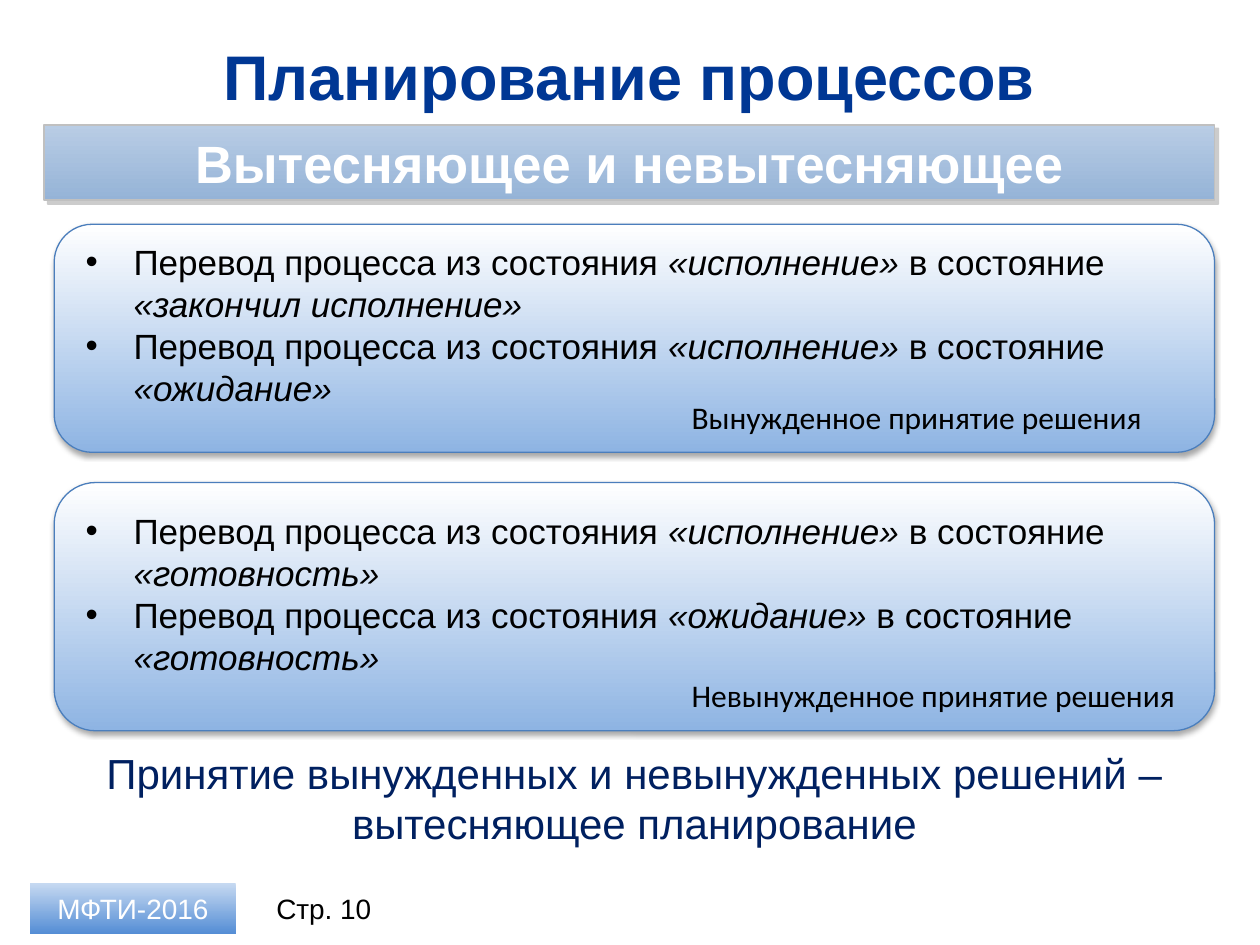
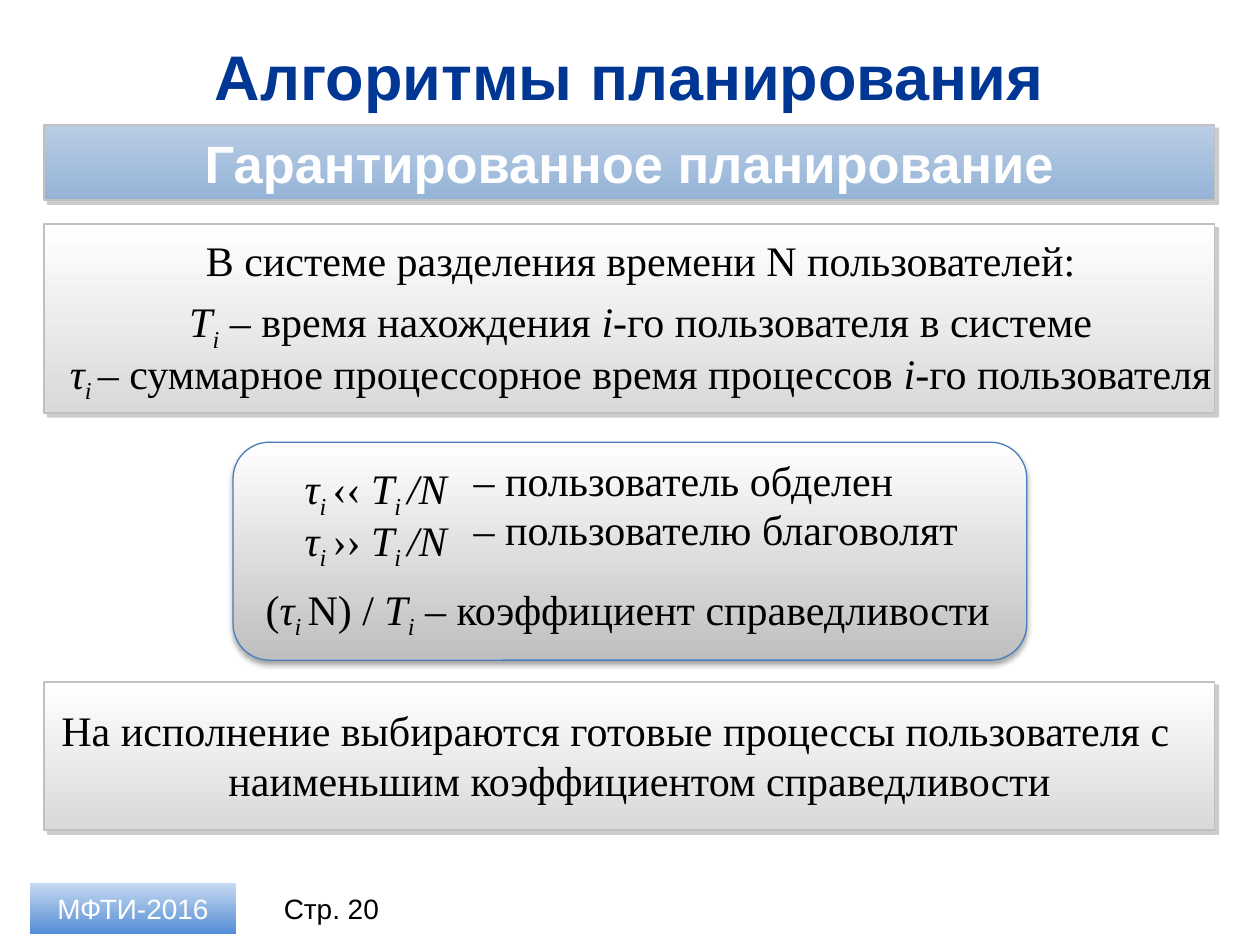
from dataclasses import dataclass

from lxml import etree
from pptx import Presentation
from pptx import util as u
from pptx.dml.color import RGBColor
from pptx.enum import shapes, text
from pptx.oxml import ns

CELL = u.Inches(0.1)
COLUMNS, ROWS = 100, 75

BLACK = RGBColor(0x00, 0x00, 0x00)
WHITE = RGBColor(0xFF, 0xFF, 0xFF)
TITLE_BLUE = RGBColor(0x00, 0x37, 0x94)
NAVY = RGBColor(0x00, 0x20, 0x60)
EDGE_BLUE = RGBColor(0x4B, 0x7E, 0xBC)
EDGE_GRAY = RGBColor(0xC0, 0xC0, 0xC0)
BAND_TOP = RGBColor(0xB9, 0xCD, 0xE5)
BAND_BOTTOM = RGBColor(0x95, 0xB3, 0xD7)
BADGE_TOP = RGBColor(0xC6, 0xD9, 0xF1)
BADGE_BOTTOM = RGBColor(0x55, 0x8E, 0xD5)
PANEL_BLUE = RGBColor(0x8E, 0xB4, 0xE3)
LIGHT_GRAY = RGBColor(0xD9, 0xD9, 0xD9)
MID_GRAY = RGBColor(0xBF, 0xBF, 0xBF)

SOFT_SHADOW = ("000000", 35, 3.1, 1.8, 90)
HARD_SHADOW = ("808080", 40, 0, 3, 45)

LEFT, CENTER = text.PP_ALIGN.LEFT, text.PP_ALIGN.CENTER
TOP, MIDDLE = text.MSO_ANCHOR.TOP, text.MSO_ANCHOR.MIDDLE


@dataclass(frozen=True)
class Box:
    """A rectangle measured in grid columns and rows."""
    left: float
    top: float
    width: float
    height: float

    def inner(self, left, top, width, height):
        """Return a box placed relative to this one."""
        return Box(self.left + left, self.top + top, width, height)

    def lengths(self):
        """Return the rectangle in slide units."""
        return [round(n * CELL) for n in (self.left, self.top, self.width, self.height)]


@dataclass(frozen=True)
class Style:
    """The look of a block of text."""
    size: float
    font: str = "Arial"
    color: RGBColor = BLACK
    bold: bool = False
    align: int = LEFT
    anchor: int = TOP
    spacing: float = 1.0
    hanging: float = 0


TITLE = Style(36, color=TITLE_BLUE, bold=True, align=CENTER, anchor=MIDDLE)
SUBTITLE = Style(30, color=WHITE, bold=True, align=CENTER, anchor=MIDDLE)
BADGE = Style(16, color=WHITE, align=CENTER, anchor=MIDDLE)
PAGE_NUMBER = Style(16, align=CENTER, anchor=MIDDLE)
BULLETS = Style(20, hanging=3.8)
CAPTION = Style(18, "Calibri")
CONCLUSION = Style(24, color=NAVY, align=CENTER)
SERIF = Style(24, "Times New Roman")
FORMULAS = Style(24, "Times New Roman", spacing=0.9)
DEFINITIONS = Style(24, "Times New Roman", align=CENTER, spacing=0.9)
RULE = Style(24, "Times New Roman", align=CENTER, hanging=3.8)

TITLE_BOX = Box(3.5, 2.6, 92.9, 6.8)
BAND_BOX = Box(3.5, 9.9, 92.9, 6)
FOOTER_BOX = Box(2.4, 70.1, 30, 4)


def add_spans(paragraph, marked, style):
    """Add runs: *...* is italic and _..._ is subscript."""
    for index, piece in enumerate(marked.split("*")):
        for level, words in enumerate(piece.split("_")):
            if not words:
                continue
            span = paragraph.add_run()
            span.text = words
            span.font.name = style.font
            span.font.size = u.Pt(style.size)
            span.font.color.rgb = style.color
            span.font.bold = style.bold
            span.font.italic = index % 2 == 1
            if level % 2:
                span._r.get_or_add_rPr().set("baseline", "-25000")


def write(shape, lines, style):
    """Fill a shape with one paragraph for each marked line."""
    frame = shape.text_frame
    frame.word_wrap = True
    frame.auto_size = text.MSO_AUTO_SIZE.NONE
    frame.vertical_anchor = style.anchor
    for index, line in enumerate(lines):
        paragraph = frame.add_paragraph() if index else frame.paragraphs[0]
        paragraph.alignment = style.align
        paragraph.line_spacing = style.spacing
        paragraph.space_before = u.Pt(0)
        if style.hanging:
            indent = round(style.hanging * CELL)
            properties = paragraph._p.get_or_add_pPr()
            properties.set("marL", str(indent))
            properties.set("indent", str(-indent))
        add_spans(paragraph, line, style)
    return shape


def add_text(page, box, lines, style):
    """Add a text box."""
    return write(page.shapes.add_textbox(*box.lengths()), lines, style)


def fill_placeholder(placeholder, box, lines, style):
    """Move a template placeholder and write into it."""
    placeholder.left, placeholder.top, placeholder.width, placeholder.height = box.lengths()
    write(placeholder, lines, style)


def add_shadow(shape, color, alpha, blur, distance, angle):
    """Give a shape an outer shadow."""
    effects = shape._element.spPr.find(ns.qn("a:effectLst"))
    shadow = etree.SubElement(
        effects, ns.qn("a:outerShdw"), blurRad=str(u.Pt(blur)),
        dist=str(u.Pt(distance)), dir=str(angle * 60000), rotWithShape="0")
    tint = etree.SubElement(shadow, ns.qn("a:srgbClr"), val=color)
    etree.SubElement(tint, ns.qn("a:alpha"), val=str(alpha * 1000))


def add_plate(page, box, colors, edge=None, width=1, shadow=None, rounded=False):
    """Add a plate shaded from its top colour to its bottom colour."""
    kind = shapes.MSO_SHAPE.ROUNDED_RECTANGLE if rounded else shapes.MSO_SHAPE.RECTANGLE
    plate = page.shapes.add_shape(kind, *box.lengths())
    plate.fill.gradient()
    plate.fill.gradient_angle = 270
    for stop, color in zip(plate.fill.gradient_stops, colors):
        stop.color.rgb = color
    if edge is None:
        plate.line.fill.background()
    else:
        plate.line.color.rgb = edge
        plate.line.width = u.Pt(width)
    plate.shadow.inherit = False
    if shadow:
        add_shadow(plate, *shadow)
    return plate


def add_gray_plate(page, box):
    """Add a square gray plate with a hard shadow."""
    add_plate(page, box, (WHITE, LIGHT_GRAY), EDGE_GRAY, 1, HARD_SHADOW)


def add_round_plate(page, box, bottom):
    """Add a rounded plate with a soft shadow."""
    add_plate(page, box, (WHITE, bottom), EDGE_BLUE, 0.75, SOFT_SHADOW, True)


def add_footer(page, box, number, number_left):
    """Add the course badge and the page number."""
    badge = add_plate(page, box.inner(0, 0, 16.3, box.height), (BADGE_TOP, BADGE_BOTTOM))
    write(badge, ["МФТИ-2016"], BADGE)
    add_text(page, box.inner(number_left, 0, 10.8, box.height), [f"Стр. {number}"], PAGE_NUMBER)


def start_page(deck, layout, title, subtitle, number, number_left):
    """Add a slide with its title, band and footer."""
    page = deck.slides.add_slide(deck.slide_layouts.get_by_name(layout))
    fill_placeholder(page.shapes.title, TITLE_BOX, [title], TITLE)
    band = add_plate(page, BAND_BOX, (BAND_TOP, BAND_BOTTOM), EDGE_GRAY, 1, HARD_SHADOW)
    write(band, [subtitle], SUBTITLE)
    add_footer(page, FOOTER_BOX, number, number_left)
    return page


def add_decision_panel(page, box, body, moves, caption):
    """Add a panel with state transitions and the kind of decision."""
    add_round_plate(page, box, PANEL_BLUE)
    page.shapes._spTree.append(body._element)
    lines = [f"Перевод процесса из состояния *«{source}» *в состояние *«{target}»*"
             for source, target in moves]
    fill_placeholder(body, box.inner(1.5, (box.height - 16.5) / 2, 86, 14.5), lines, BULLETS)
    add_text(page, box.inner(49.6, box.height - 4.8, 41, 4), [caption], CAPTION)


def add_definitions(page, box):
    """Add the plate that defines the symbols."""
    add_gray_plate(page, box)
    lines = ["В системе разделения времени N пользователей:",
             "*T_i_* – время нахождения *i*-го пользователя в системе",
             "*τ_i _*– суммарное процессорное время процессов *i*-го пользователя"]
    block = add_text(page, box.inner(-0.7, 0.8, 96.1, 12.8), lines, DEFINITIONS)
    block.text_frame.paragraphs[1].space_before = u.Pt(6)


def add_fairness(page, box):
    """Add the plate with the fairness comparisons and ratio."""
    add_round_plate(page, box, MID_GRAY)
    lines = [f"*τ_i _*{sign} *T_i _/N*" for sign in ("‹‹", "››")]
    add_text(page, box.inner(4.7, 1.2, 50, 8.3), lines, FORMULAS)
    for row, meaning in enumerate(("пользователь обделен", "пользователю благоволят")):
        add_text(page, box.inner(18.1, 0.5 + 3.9 * row, 44.1, 5), [f"*– *{meaning}"], SERIF)
    add_text(page, box.inner(1.6, 10.7, 59.8, 5),
             ["(*τ_i _*N) / *T_i_* – коэффициент справедливости"], SERIF)


def add_selection_rule(page, box):
    """Add the plate that says which processes are chosen."""
    add_gray_plate(page, box)
    add_text(page, box.inner(-0.7, 1.3, 92.1, 9.1),
             ["На исполнение выбираются готовые процессы пользователя с "
              "наименьшим коэффициентом справедливости"], RULE)


def build_preemption(deck):
    """Build the slide on preemptive and non-preemptive planning."""
    page = start_page(deck, "Two Content", "Планирование процессов",
                      "Вытесняющее и невытесняющее", 10, 17.9)
    forced, voluntary = list(page.placeholders)[1:3]
    add_decision_panel(page, Box(4.3, 17.8, 92.1, 18.1), forced,
                       [("исполнение", "закончил исполнение"), ("исполнение", "ожидание")],
                       "Вынужденное принятие решения")
    add_decision_panel(page, Box(4.3, 38.3, 92.1, 19.7), voluntary,
                       [("исполнение", "готовность"), ("ожидание", "готовность")],
                       "Невынужденное принятие решения")
    add_text(page, Box(4.3, 58.8, 92.1, 9.1),
             ["Принятие вынужденных и невынужденных решений – вытесняющее планирование"],
             CONCLUSION)


def build_guaranteed(deck):
    """Build the slide on guaranteed planning."""
    page = start_page(deck, "Title Only", "Алгоритмы планирования",
                      "Гарантированное планирование", 20, 18.5)
    add_definitions(page, Box(3.5, 17.8, 92.9, 15))
    add_fairness(page, Box(18.5, 35.1, 63, 17.3))
    add_selection_rule(page, Box(3.5, 54.1, 92.9, 11.8))


def main():
    """Build and save the deck."""
    deck = Presentation()
    deck.slide_width, deck.slide_height = COLUMNS * CELL, ROWS * CELL
    build_preemption(deck)
    build_guaranteed(deck)
    deck.save("out.pptx")


if __name__ == "__main__":
    main()
